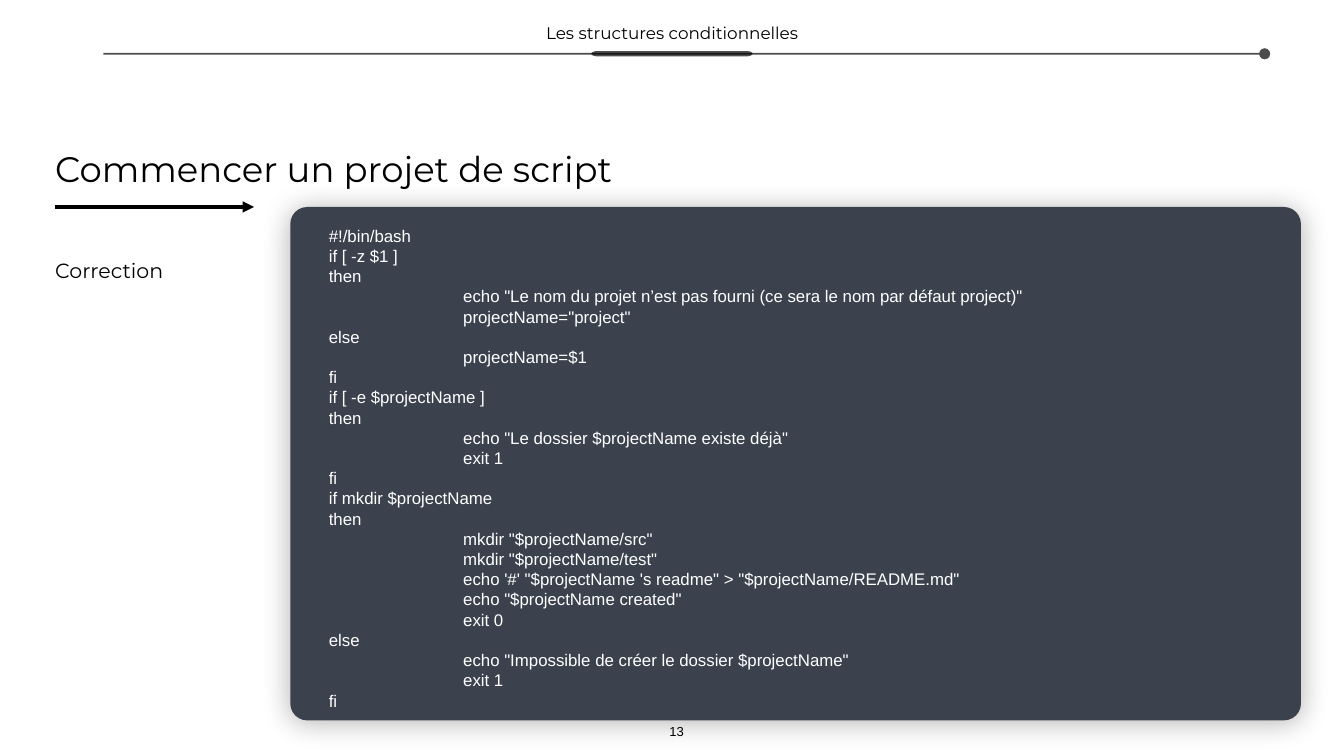
import math
from dataclasses import dataclass

from lxml import etree
from pptx import Presentation
from pptx.dml.color import RGBColor
from pptx.enum import shapes as kinds, text as txt
from pptx.oxml import parse_xml
from pptx.oxml.ns import nsdecls, qn
from pptx.util import Inches, Pt

HUES = {"ink": "000000", "panel": "3B424E", "code": "FFFFFF"}

CODE = """#!/bin/bash
if [ -z $1 ]
then
\techo "Le nom du projet n’est pas fourni (ce sera le nom par défaut project)"
\tprojectName="project"
else
\tprojectName=$1
fi
if [ -e $projectName ]
then
\techo "Le dossier $projectName existe déjà"
\texit 1
fi
if mkdir $projectName
then
\tmkdir "$projectName/src"
\tmkdir "$projectName/test"
\techo '#' "$projectName 's readme" > "$projectName/README.md"
\techo "$projectName created"
\texit 0
else
\techo "Impossible de créer le dossier $projectName"
\texit 1
fi"""


@dataclass
class Label:
    text: str
    box: tuple[float, float, float, float]
    size: float
    font: str = "Montserrat"
    align: txt.PP_ALIGN = txt.PP_ALIGN.LEFT
    anchor: txt.MSO_ANCHOR = txt.MSO_ANCHOR.MIDDLE


@dataclass
class Rule:
    left: float
    right: float
    y: float
    width: float
    tail: str
    alpha: int = 100


TITLE = Label("Commencer un projet de script", (0.39, 1.07, 5.61, 0.36), 19)
LABELS = [
    Label("Correction", (0.39, 1.9, 1.44, 0.23), 11),
    Label("Les structures conditionnelles", (3.61, 0.15, 2.78, 0.19), 9,
          align=txt.PP_ALIGN.CENTER),
    Label("13", (4.92, 5.36, 0.23, 0.16), 7, "Arial",
          txt.PP_ALIGN.CENTER, txt.MSO_ANCHOR.BOTTOM),
]
RULES = [
    Rule(0.41, 1.89, 1.54, 2, "triangle"),
    Rule(0.77, 9.41, 0.4, 1, "oval", 70),
]


def hue(name: str) -> RGBColor:
    return RGBColor.from_string(HUES[name])


def fade(fill, alpha: int) -> None:
    """Make the solid fill under this element partly transparent."""
    tint = fill.find(".//" + qn("a:srgbClr"))
    etree.SubElement(tint, qn("a:alpha"), val=str(alpha * 1000))


def style(frame, size: float, font: str, color: str) -> None:
    for para in frame.paragraphs:
        for run in para.runs:
            run.font.size = Pt(size)
            run.font.name = font
            run.font.color.rgb = hue(color)


def pad(frame, left: float, rest: float) -> None:
    frame.margin_left = Inches(left)
    frame.margin_top = frame.margin_right = frame.margin_bottom = Inches(rest)


def write(shape, label: Label) -> None:
    shape.left, shape.top, shape.width, shape.height = map(Inches, label.box)
    frame = shape.text_frame
    frame.text = label.text
    frame.word_wrap = True
    frame.auto_size = txt.MSO_AUTO_SIZE.NONE
    frame.vertical_anchor = label.anchor
    pad(frame, 0.02, 0.02)
    para = frame.paragraphs[0]
    para.alignment = label.align
    para.line_spacing = 1.0
    para.space_before = Pt(0)
    style(frame, label.size, label.font, "ink")


def draw_rule(slide, rule: Rule) -> None:
    line = slide.shapes.add_connector(
        kinds.MSO_CONNECTOR.STRAIGHT, Inches(rule.left), Inches(rule.y),
        Inches(rule.right), Inches(rule.y))
    line.line.color.rgb = hue("ink")
    line.line.width = Pt(rule.width)
    props = line._element.spPr
    if rule.alpha < 100:
        fade(props, rule.alpha)
    etree.SubElement(props.find(qn("a:ln")), qn("a:tailEnd"), type=rule.tail)
    etree.SubElement(props, qn("a:effectLst"))


def draw_pill(slide) -> None:
    """Draw the thin marker with rounded ends on the header line."""
    mid, y, half, cap, rise = 5.0, 0.4, 0.55, 0.05, 0.02
    turns = [math.radians(a) for a in range(-90, 91, 15)]
    ends = [(mid + side * (half + cap * math.cos(t)), y + side * rise * math.sin(t))
            for side in (1, -1) for t in turns]
    points = [(Inches(px), Inches(py)) for px, py in ends]
    path = slide.shapes.build_freeform(*points[0])
    path.add_line_segments(points[1:], close=True)
    pill = path.convert_to_shape()
    pill.shadow.inherit = False
    pill.fill.solid()
    pill.fill.fore_color.rgb = hue("ink")
    fade(pill._element.spPr, 69)
    pill.line.fill.background()


def draw_code(slide) -> None:
    panel = slide.shapes.add_shape(
        kinds.MSO_SHAPE.ROUNDED_RECTANGLE,
        Inches(2.16), Inches(1.54), Inches(7.52), Inches(3.82))
    panel.adjustments[0] = 0.033
    panel.fill.solid()
    panel.fill.fore_color.rgb = hue("panel")
    panel.line.fill.background()
    panel.shadow.inherit = False
    glow = panel._element.spPr.find(qn("a:effectLst"))
    glow.append(parse_xml(
        f'<a:outerShdw {nsdecls("a")} blurRad="{Pt(15.8)}" dist="{Pt(1.5)}" '
        f'dir="5400000" algn="ctr" rotWithShape="0"><a:srgbClr val="{HUES["ink"]}">'
        '<a:alpha val="30000"/></a:srgbClr></a:outerShdw>'))
    frame = panel.text_frame
    frame.text = CODE
    frame.word_wrap = True
    frame.vertical_anchor = txt.MSO_ANCHOR.TOP
    pad(frame, 0.25, 0.1)
    for para in frame.paragraphs:
        para.alignment = txt.PP_ALIGN.LEFT
        para.line_spacing = Pt(10.83)
        para._p.get_or_add_pPr().set("defTabSz", str(Inches(1)))
    style(frame, 9, "Arial", "code")


def main() -> None:
    deck = Presentation()
    deck.slide_width = Inches(10)
    deck.slide_height = deck.slide_width * 9 // 16
    slide = deck.slides.add_slide(deck.slide_layouts[5])
    write(slide.shapes.title, TITLE)
    draw_code(slide)
    for rule in RULES:
        draw_rule(slide, rule)
    for label in LABELS:
        write(slide.shapes.add_textbox(0, 0, 0, 0), label)
    draw_pill(slide)
    deck.save("out.pptx")


if __name__ == "__main__":
    main()
